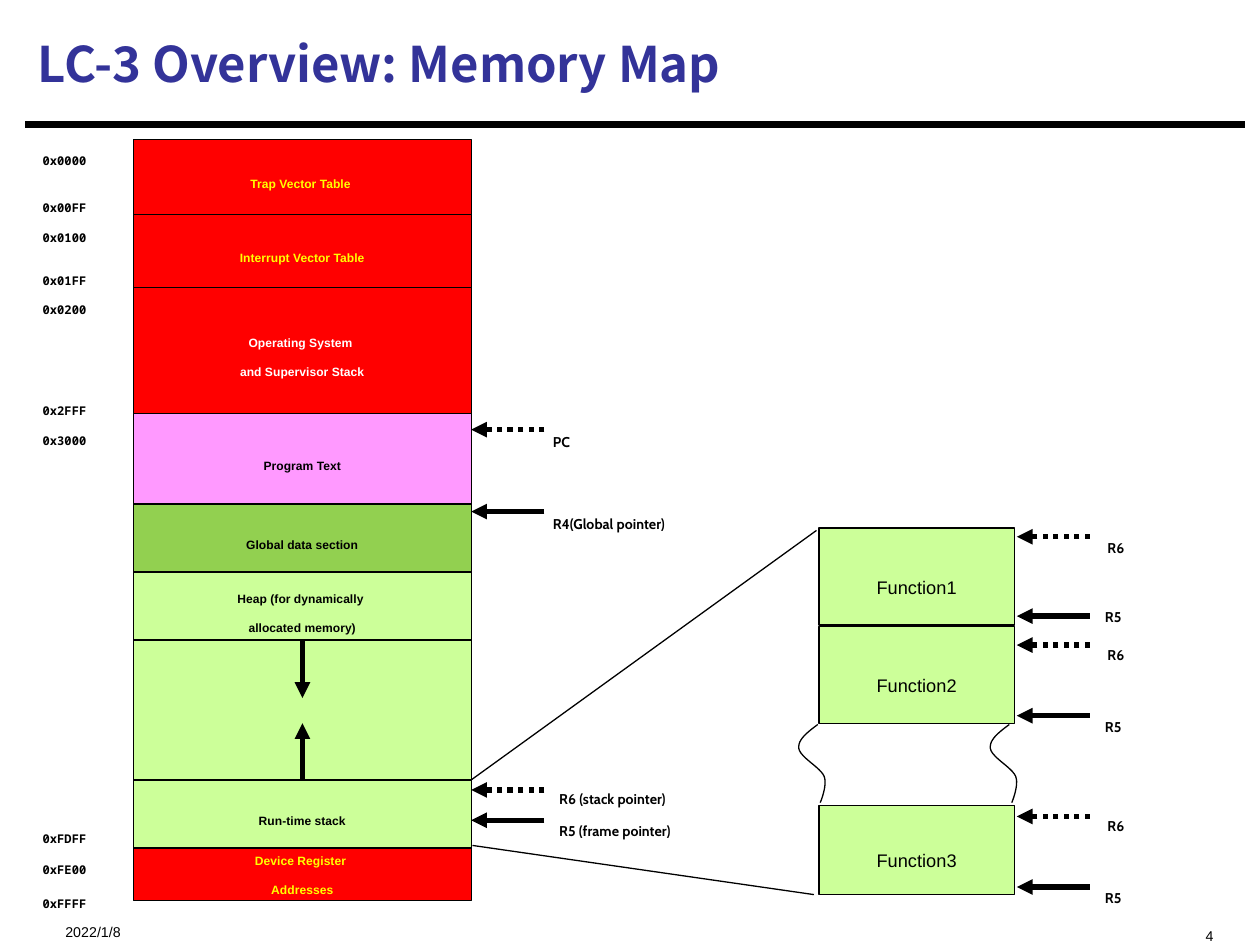
from collections import namedtuple
from pptx import Presentation
from pptx.dml.color import RGBColor
from pptx.enum.dml import MSO_LINE
from pptx.enum.shapes import MSO_CONNECTOR, MSO_SHAPE
from pptx.enum.text import MSO_ANCHOR as ANCHOR, PP_ALIGN as ALIGN
from pptx.oxml.ns import qn
from pptx.util import Inches, Pt
from lxml.etree import SubElement

COLS, ROWS = 100, 75
CELL = Inches(0.1)
C = dict(ink="000000", paper="FFFFFF", title="333399", system="FF0000", vector="FFFF00",
         program="FF99FF", globals="92D050", dynamic="CCFF99")
SANS, LABEL, MONO, HEAD = "Arial", "Cabin", "Noto Sans Mono", "Noto Sans CJK SC"
SUBSCRIPT = "-25000"

Box = namedtuple("Box", "x y w h")

# name, rows, fill, text colour, lines of text
SEGMENTS = [
    ("trap", 5.9, "system", "vector", ["Trap Vector Table "]),
    ("interrupt", 5.8, "system", "vector", ["Interrupt Vector Table"]),
    ("os", 10, "system", "paper", ["Operating System ", "and Supervisor Stack"]),
    ("program", 7.2, "program", "ink", ["Program Text"]),
    ("globals", 5.4, "globals", "ink", ["Global data section"]),
    ("heap", 5.4, "dynamic", "ink", ["Heap (for dynamically ", "allocated memory)"]),
    ("free", 11.1, "dynamic", "ink", []),
    ("stack", 5.4, "dynamic", "ink", ["Run-time stack"]),
    ("device", 4.2, "system", "vector", ["Device Register ", "Addresses"]),
]
# address, row below the top of the memory column
ADDRESSES = [("0x0000", -0.5), ("0x00FF", 3.2), ("0x0100", 5.6), ("0x01FF", 9),
             ("0x0200", 11.3), ("0x2FFF", 19.3), ("0x3000", 21.7), ("0xFDFF", 53.3),
             ("0xFE00", 55.7), ("0xFFFF", 58.4)]
# label, row of the arrow and of the label below the top, column of the label, dotted
POINTERS = [("PC", 23, 21.5, 5.5, True), ("R4(Global pointer)", 29.5, 28, 5.5, False),
            ("R6 (stack pointer)", 51.6, 49.8, 6, True),
            ("R5 (frame pointer)", 54, 52.4, 6, False)]
# name, top and height, then arrow and label rows of R6 and of R5, below the panel's top
FRAMES = [("Function1", 0, 7.7, (0.7, -0.9), (7, 4.6)),
          ("Function2", 7.8, 7.7, (9.3, 7.6), (14.9, 13.3)),
          ("Function3", 22, 7.1, (22.9, 21.2), (28.5, 26.9))]


def cells(*values):
    return [round(v * CELL) for v in values]


def write(tf, lines, size, font, color="ink", bold=True, align=ALIGN.LEFT, lowered=True):
    tf.word_wrap = True
    for i, line in enumerate(lines):
        p = tf.add_paragraph() if i else tf.paragraphs[0]
        p.alignment = align
        r = p.add_run()
        r.text = line
        r.font.size, r.font.name, r.font.bold = Pt(size), font, bold
        r.font.color.rgb = RGBColor.from_string(C[color])
        rPr = r.font._element
        SubElement(rPr, qn("a:ea")).set("typeface", font)
        if lowered:
            rPr.set("baseline", SUBSCRIPT)


def add_text(s, box, text, size, font, **style):
    tf = s.shapes.add_textbox(*cells(*box)).text_frame
    write(tf, [text], size, font, **style)
    return tf


def add_block(s, box, fill, lines, size, **style):
    sp = s.shapes.add_shape(MSO_SHAPE.RECTANGLE, *cells(*box))
    sp.shadow.inherit = False
    sp.fill.solid()
    sp.fill.fore_color.rgb = RGBColor.from_string(C[fill])
    sp.line.color.rgb = RGBColor.from_string(C["ink"])
    sp.line.width = Pt(0.75)
    sp.text_frame.vertical_anchor = ANCHOR.MIDDLE
    write(sp.text_frame, lines, size, SANS, align=ALIGN.CENTER, **style)
    return sp


def add_line(s, x1, y1, x2, y2, width=0.75, arrow=False, dotted=False):
    cn = s.shapes.add_connector(MSO_CONNECTOR.STRAIGHT, *cells(x1, y1, x2, y2))
    cn.line.color.rgb = RGBColor.from_string(C["ink"])
    cn.line.width = Pt(width)
    if dotted:
        cn.line.dash_style = MSO_LINE.ROUND_DOT
    if arrow:
        SubElement(cn.line._get_or_add_ln(), qn("a:tailEnd")).set("type", "triangle")
    SubElement(cn._element.spPr, qn("a:effectLst"))
    return cn


def add_pointer(s, x, y, label, label_box, dotted):
    """An arrow pointing left at (x, y), with its label."""
    add_line(s, x + 5.8, y, x, y, 3, arrow=True, dotted=dotted)
    add_text(s, label_box, label, 14, LABEL)


def bezier(p0, p1, p2, p3, steps=12):
    for i in range(1, steps + 1):
        t = i / steps
        u = 1 - t
        yield tuple(u**3 * a + 3 * u * u * t * b + 3 * u * t * t * c + t**3 * d
                    for a, b, c, d in zip(p0, p1, p2, p3))


def add_wave(s, x, y):
    """A wavy break line, starting at (x, y)."""
    knots = [(0, 0), (-0.8, 0.6), (-1.6, 1.2), (-1.5, 1.9), (-1.4, 2.6), (0.2, 3.4),
             (0.5, 4.1), (0.8, 4.8), (0.2, 6.2), (0.2, 6.2)]
    points = [pt for i in (0, 3, 6) for pt in bezier(*knots[i:i + 4])]
    fb = s.shapes.build_freeform(*cells(x, y))
    fb.add_line_segments([cells(x + dx, y + dy) for dx, dy in points], close=False)
    sp = fb.convert_to_shape()
    sp.shadow.inherit = False
    sp.fill.background()
    sp.line.color.rgb = RGBColor.from_string(C["ink"])
    sp.line.width = Pt(0.75)


def add_header(s, box):
    add_line(s, box.x, box.y + 9.1, box.x + box.w, box.y + 9.1, 3.75)
    tf = add_text(s, box, "LC-3 Overview: Memory Map", 28, HEAD, color="title", lowered=False)
    tf.vertical_anchor = ANCHOR.MIDDLE


def add_footer(s, box):
    add_text(s, Box(box.x, box.y, 25, box.h), "2022/1/8", 14, SANS, bold=False)
    add_text(s, Box(box.x + box.w - 30, box.y + 0.3, 30, box.h), "4", 14, SANS,
             bold=False, align=ALIGN.RIGHT)


def add_memory(s, box):
    blocks, y = {}, box.y
    for name, rows, fill, color, lines in SEGMENTS:
        blocks[name] = add_block(s, Box(box.x, y, box.w, rows), fill, lines, 12, color=color)
        y += rows
    # The lowered text needs room below it in the shortest block.
    tf = blocks["device"].text_frame
    tf.margin_top, tf.margin_bottom = cells(0, 1)
    for address, row in ADDRESSES:
        add_text(s, Box(box.x - 8.2, box.y + row, 8.1, 3), address, 12, MONO)
    mid, right = box.x + box.w / 2, box.x + box.w
    for name, side, row, reach in [("heap", 2, 39.7, 4.6), ("stack", 0, 50.8, -4.5)]:
        start = box.y + row
        cn = add_line(s, mid, start, mid, start + reach, 3, arrow=True)
        cn.begin_connect(blocks[name], side)
    for label, row, label_row, col, dotted in POINTERS:
        label_box = Box(right + col, box.y + label_row, 17.3, 3.4)
        add_pointer(s, right, box.y + row, label, label_box, dotted)


def add_call_stack(s, box):
    right = box.x + box.w
    for name, row, rows, r6, r5 in FRAMES:
        add_block(s, Box(box.x, box.y + row, box.w, rows), "dynamic", [name], 18, bold=False)
        for label, (arrow_row, label_row), col in [("R6", r6, 6.4), ("R5", r5, 6.2)]:
            label_box = Box(right + col, box.y + label_row, 4.9, 3.4)
            add_pointer(s, right + 0.2, box.y + arrow_row, label, label_box, label == "R6")
    for x in (box.x, right - 0.3):
        add_wave(s, x - 0.1, box.y + 15.6)


def add_zoom_lines(s, memory, frames):
    x = memory.x + memory.w
    add_line(s, x, memory.y + 50.8, frames.x - 0.2, frames.y + 0.2)
    add_line(s, x + 0.1, memory.y + 56, frames.x - 0.4, frames.y + frames.h)


def main():
    prs = Presentation()
    prs.slide_width, prs.slide_height = COLS * CELL, ROWS * CELL
    s = prs.slides.add_slide(prs.slide_layouts[6])
    memory, frames = Box(10.6, 11.1, 26.8, 60.4), Box(65, 41.9, 15.5, 29.1)
    add_header(s, Box(2, 0.8, 96.8, 8.4))
    add_footer(s, Box(4.2, 71.5, 93.1, 2.7))
    add_memory(s, memory)
    add_call_stack(s, frames)
    add_zoom_lines(s, memory, frames)
    prs.save("out.pptx")


if __name__ == "__main__":
    main()
